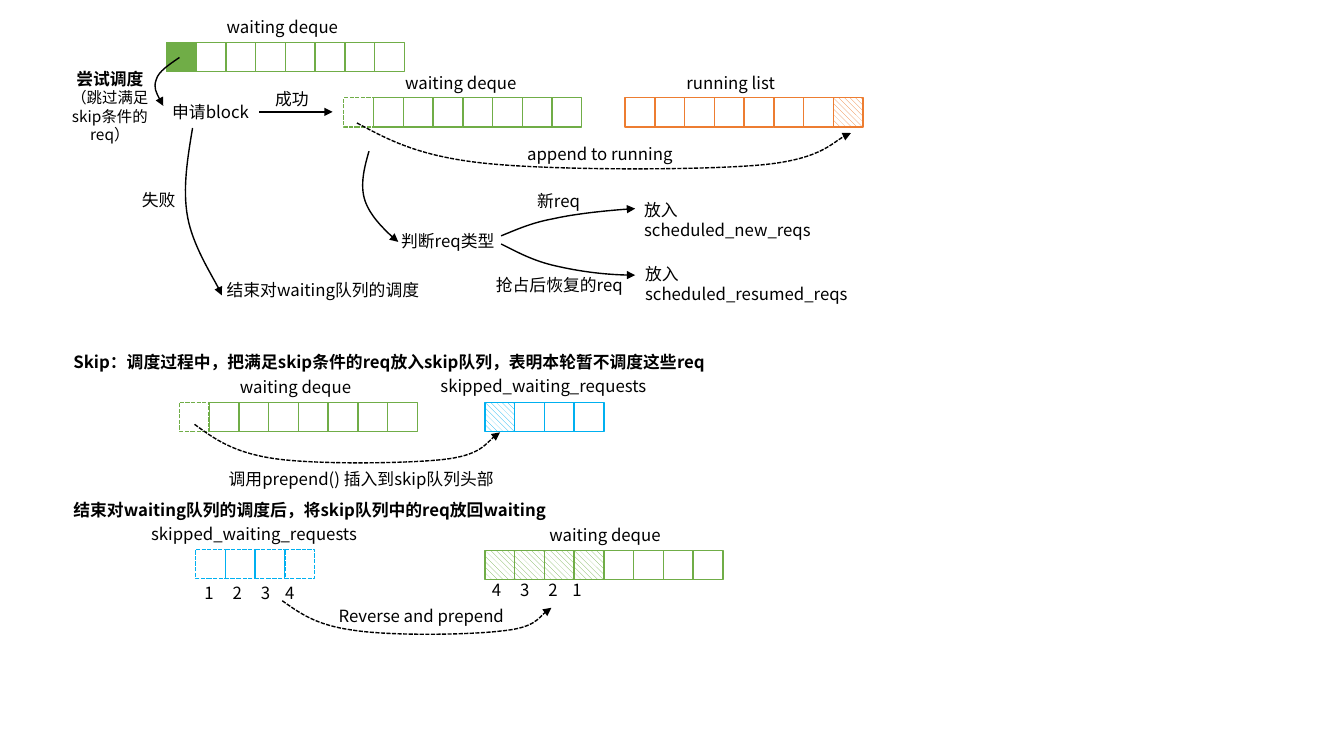
from lxml import etree
from pptx import Presentation
from pptx.dml.color import RGBColor
from pptx.enum.dml import MSO_LINE, MSO_PATTERN
from pptx.enum.shapes import MSO_CONNECTOR, MSO_SHAPE
from pptx.enum.text import MSO_AUTO_SIZE, PP_ALIGN
from pptx.oxml.ns import qn
from pptx.util import Inches, Pt

RECTANGLE = MSO_SHAPE.RECTANGLE
STRAIGHT = MSO_CONNECTOR.STRAIGHT
DASH = MSO_LINE.SQUARE_DOT
HATCH = MSO_PATTERN.WIDE_DOWNWARD_DIAGONAL
GROW = MSO_AUTO_SIZE.SHAPE_TO_FIT_TEXT
LEFT, CENTER = PP_ALIGN.LEFT, PP_ALIGN.CENTER

FONT = "Noto Sans CJK SC"
COLORS = {"green": "70AD47", "orange": "ED7D31", "blue": "00B0F0",
          "black": "000000", "white": "FFFFFF"}
CELL_WIDTH, CELL_HEIGHT = 2.36 / 8, 0.29
LABEL_HEIGHT = 0.3

# Queues: left, top, colour, one letter per cell
# (s solid, h hatched, d dashed outline, - empty)
QUEUES = [
    (1.65, 0.42, "green", "s-------"),
    (3.41, 0.97, "green", "d-------"),
    (6.2, 0.97, "orange", "-------h"),
    (1.78, 3.99, "green", "d-------"),
    (4.81, 3.99, "blue", "h---"),
    (1.94, 5.45, "blue", "dddd"),
    (4.81, 5.46, "green", "hhhh----"),
]

# Labels: left, top, width, text
LABELS = [
    (2.15, 0.12, 1.35, "waiting deque"),
    (3.92, 0.67, 1.35, "waiting deque"),
    (6.71, 0.67, 1.11, "running list"),
    (1.61, 0.96, 0.97, "申请block"),
    (2.63, 0.83, 0.54, "成功"),
    (1.31, 1.83, 0.54, "失败"),
    (5.13, 1.38, 1.9, "append to running"),
    (3.88, 2.24, 1.14, "判断req类型"),
    (2.15, 2.73, 2.14, "结束对waiting队列的调度"),
    (5.23, 1.84, 0.63, "新req"),
    (4.82, 2.68, 1.48, "抢占后恢复的req"),
    (6.29, 1.93, 2.18, "放入scheduled_new_reqs"),
    (6.3, 2.57, 2.54, "放入scheduled_resumed_reqs"),
    (2.28, 3.69, 1.35, "waiting deque"),
    (4.27, 3.68, 2.28, "skipped_waiting_requests"),
    (2.17, 4.6, 3.03, "调用prepend() 插入到skip队列头部"),
    (1.4, 5.15, 2.28, "skipped_waiting_requests"),
    (5.35, 5.16, 1.35, "waiting deque"),
    (3.26, 5.96, 1.9, "Reverse and prepend"),
]
HEADINGS = [
    (0.63, 3.44, 6.73,
     "Skip：调度过程中，把满足skip条件的req放入skip队列，表明本轮暂不调度这些req"),
    (0.63, 4.91, 4.95, "结束对waiting队列的调度后，将skip队列中的req放回waiting"),
]
NUMBERS = [(1.93, 5.73, 1.2, "1\t2\t3\t4"), (4.78, 5.7, 1.2, "4\t3\t2\t1")]
NUMBER_TABS = (0.28, 0.56, 0.8)

# Curved arrows: dashed or not, start point, then control points in threes
CURVES = [
    (False, [(1.78, 0.57), (1.68, 0.64), (1.57, 0.71), (1.55, 0.79),
             (1.52, 0.87), (1.57, 0.96), (1.62, 1.05)]),
    (False, [(1.91, 1.27), (1.86, 1.57), (1.81, 1.87), (1.86, 2.15),
             (1.91, 2.43), (2.18, 2.86), (2.2, 2.93)]),
    (False, [(3.66, 1.5), (3.61, 1.67), (3.57, 1.84), (3.62, 1.99),
             (3.67, 2.14), (3.89, 2.36), (3.95, 2.4)]),
    (False, [(4.97, 2.34), (5.12, 2.28), (5.27, 2.21), (5.49, 2.17),
             (5.71, 2.12), (6.11, 2.08), (6.3, 2.07)]),
    (False, [(4.97, 2.42), (5.13, 2.5), (5.29, 2.59), (5.52, 2.64),
             (5.74, 2.69), (6.02, 2.73), (6.3, 2.73)]),
    (True, [(3.54, 1.22), (3.84, 1.38), (4.14, 1.55), (4.81, 1.62),
            (5.47, 1.69), (6.9, 1.69), (7.51, 1.64),
            (8.12, 1.59), (8.31, 1.36), (8.44, 1.32)]),
    (True, [(1.93, 4.21), (2.12, 4.35), (2.31, 4.49), (2.72, 4.55),
            (3.13, 4.61), (4.01, 4.6), (4.39, 4.56),
            (4.76, 4.52), (4.88, 4.33), (4.96, 4.29)]),
    (True, [(2.8, 5.96), (2.97, 6.08), (3.13, 6.2), (3.49, 6.25),
            (3.85, 6.31), (4.64, 6.3), (4.97, 6.26),
            (5.3, 6.23), (5.4, 6.06), (5.47, 6.03)]),
]


def color(name):
    return RGBColor.from_string(COLORS[name])


def set_line(line, name, dashed=False, arrow=False):
    line.color.rgb = color(name)
    line.width = Pt(1)
    if dashed:
        line.dash_style = DASH
    if arrow:
        etree.SubElement(line._get_or_add_ln(), qn("a:tailEnd"), type="triangle")


def add_queue(slide, left, top, name, cells):
    for index, style in enumerate(cells):
        cell = slide.shapes.add_shape(
            RECTANGLE, Inches(left + index * CELL_WIDTH), Inches(top),
            Inches(CELL_WIDTH), Inches(CELL_HEIGHT))
        cell.shadow.inherit = False
        set_line(cell.line, name, dashed=style == "d")
        if style == "s":
            cell.fill.solid()
            cell.fill.fore_color.rgb = color(name)
        elif style == "h":
            cell.fill.patterned()
            cell.fill.pattern = HATCH
            cell.fill.fore_color.rgb = color(name)
            cell.fill.back_color.rgb = color("white")
        else:
            cell.fill.background()


def format_paragraph(para, size, bold, align):
    para.alignment = align
    para.font.size = Pt(size)
    para.font.bold = bold
    para.font.name = FONT
    para.font.color.rgb = color("black")
    defaults = para._p.pPr.find(qn("a:defRPr"))
    etree.SubElement(defaults, qn("a:ea"), typeface=FONT)


def add_text(slide, left, top, width, lines, align=LEFT):
    """Each line is (text, size, bold)."""
    box = slide.shapes.add_textbox(
        Inches(left), Inches(top), Inches(width), Inches(LABEL_HEIGHT))
    frame = box.text_frame
    frame.word_wrap = True
    frame.auto_size = GROW
    for index, (text, size, bold) in enumerate(lines):
        para = frame.add_paragraph() if index else frame.paragraphs[0]
        para.add_run().text = text
        format_paragraph(para, size, bold, align)
    return box


def add_tab_stops(para):
    stops = etree.Element(qn("a:tabLst"))
    for position in NUMBER_TABS:
        etree.SubElement(stops, qn("a:tab"), pos=str(Inches(position)), algn="l")
    para._p.pPr.insert(0, stops)


def add_curve(slide, dashed, points):
    start, *controls = [(Inches(x), Inches(y)) for x, y in points]
    builder = slide.shapes.build_freeform(*start)
    builder.add_line_segments(controls, close=False)
    curve = builder.convert_to_shape()
    curve.shadow.inherit = False
    curve.fill.background()
    set_line(curve.line, "black", dashed, arrow=True)
    # Turn every three straight segments into one Bezier segment
    outline = curve.element.xpath(".//a:path")[0]
    segments = outline.findall(qn("a:lnTo"))
    for first in range(0, len(segments), 3):
        bezier = etree.SubElement(outline, qn("a:cubicBezTo"))
        for segment in segments[first:first + 3]:
            bezier.append(segment[0])
            outline.remove(segment)


def main():
    deck = Presentation()
    deck.slide_width, deck.slide_height = Inches(13.33), Inches(7.5)
    slide = deck.slides.add_slide(deck.slide_layouts[6])

    # Queues
    for queue in QUEUES:
        add_queue(slide, *queue)

    # Text
    add_text(slide, 0.47, 0.63, 1.24,
             [("尝试调度", 12, True), ("（跳过满足skip条件的req）", 11, False)], CENTER)
    for left, top, width, text in LABELS:
        add_text(slide, left, top, width, [(text, 12, False)])
    for left, top, width, text in HEADINGS:
        add_text(slide, left, top, width, [(text, 12, True)])
    for left, top, width, text in NUMBERS:
        box = add_text(slide, left, top, width, [(text, 12, False)])
        add_tab_stops(box.text_frame.paragraphs[0])

    # Arrows
    for dashed, points in CURVES:
        add_curve(slide, dashed, points)
    success = slide.shapes.add_connector(
        STRAIGHT, Inches(2.57), Inches(1.11), Inches(3.3), Inches(1.11))
    set_line(success.line, "black", arrow=True)
    etree.SubElement(success.element.spPr, qn("a:effectLst"))

    deck.save("out.pptx")


if __name__ == "__main__":
    main()
